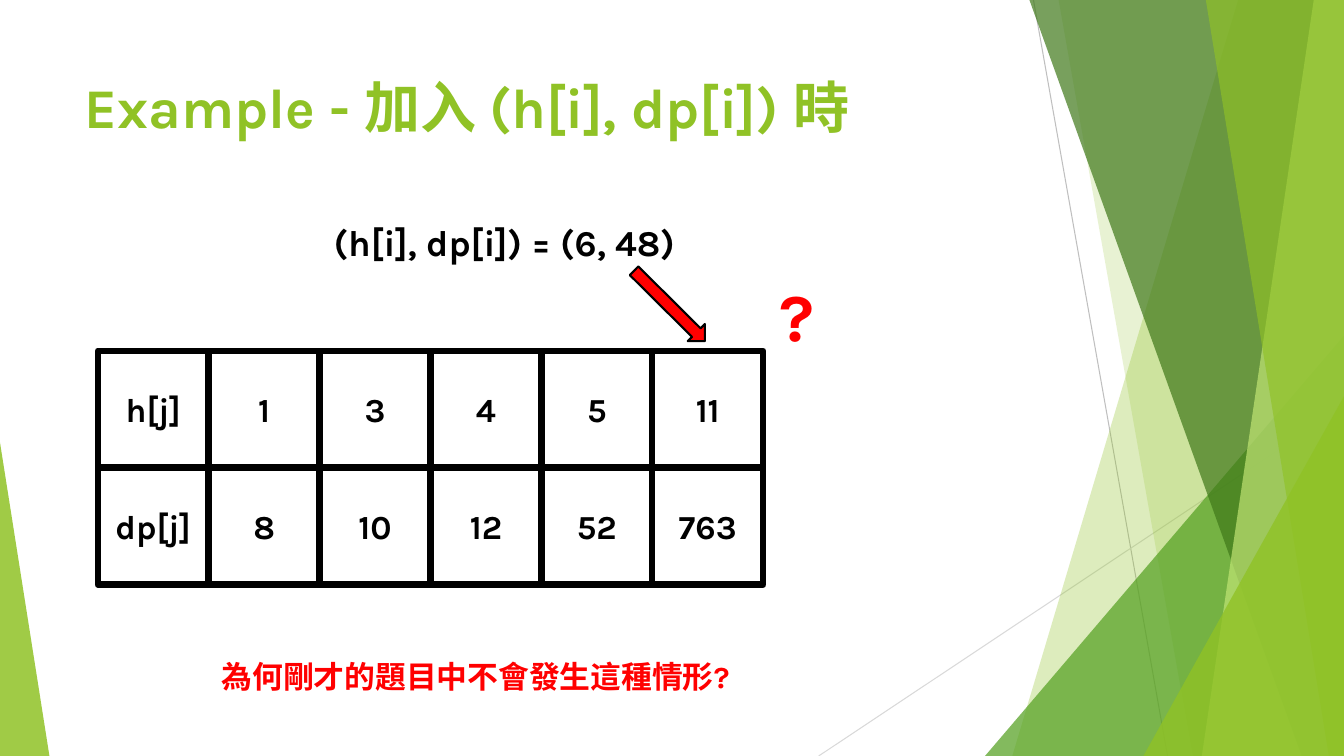
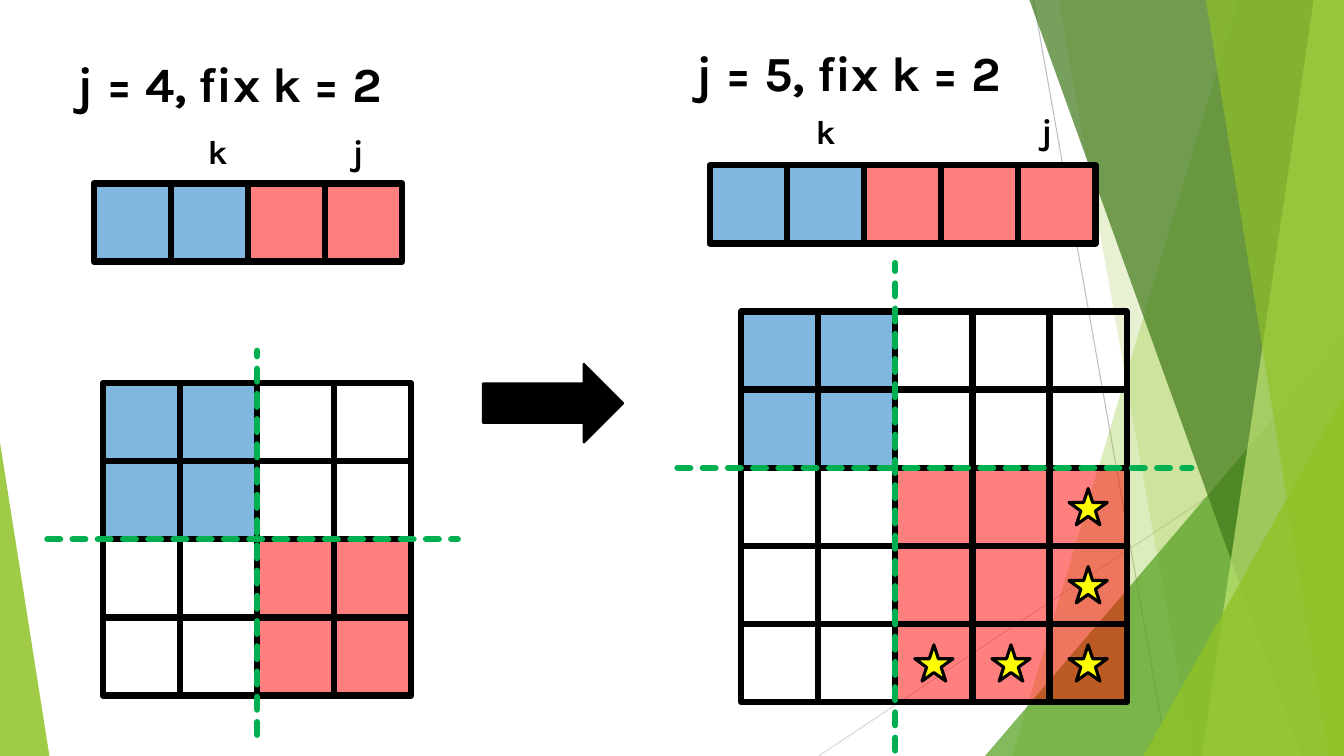
import lxml.etree
import pptx
import pptx.dml.color
import pptx.enum.dml
import pptx.enum.shapes
import pptx.enum.text
import pptx.oxml.ns
import pptx.util

Inches = pptx.util.Inches
Pt = pptx.util.Pt
SHAPE = pptx.enum.shapes.MSO_SHAPE
ALIGN = pptx.enum.text.PP_ALIGN
ANCHOR = pptx.enum.text.MSO_ANCHOR
AUTO_SIZE = pptx.enum.text.MSO_AUTO_SIZE
qn = pptx.oxml.ns.qn

FONT = "Karla"
WIDTH, HEIGHT = 13.33, 7.5
CELL_WIDTH, CELL_HEIGHT = 3.06 / 4, 3.1 / 4
SPLIT = 2  # the fixed k
COLORS = {
    "black": "000000", "red": "FF0000", "blue": "0070C0", "yellow": "FFFF00",
    "cut": "00B050", "pale_blue": "7FB7DF", "pale_red": "FF7F7F",
    "lime": "90C226", "leaf": "54A021", "forest": "3F7819", "mint": "C0E474",
    "gray": "BFBFBF", "light_gray": "D9D9D9",
}


# Shared drawing helpers
def rgb(name):
    return pptx.dml.color.RGBColor.from_string(COLORS[name])


def paint(shape, fill=None, opacity=100, line=None, weight=1):
    shape.shadow.inherit = False
    if fill:
        shape.fill.solid()
        shape.fill.fore_color.rgb = rgb(fill)
        if opacity < 100:
            color = shape.element.spPr.find(qn("a:solidFill"))[0]
            lxml.etree.SubElement(color, qn("a:alpha"), val=str(opacity * 1000))
    else:
        shape.fill.background()
    if line:
        shape.line.color.rgb = rgb(line)
        shape.line.width = Pt(weight)
    else:
        shape.line.fill.background()


def add_shape(shapes, kind, box, **style):
    shape = shapes.add_shape(kind, *map(Inches, box))
    paint(shape, **style)
    return shape


def add_line(shapes, start, end, color, weight, dash=None):
    line = shapes.add_connector(pptx.enum.shapes.MSO_CONNECTOR.STRAIGHT,
                                *map(Inches, start + end))
    line.line.color.rgb = rgb(color)
    line.line.width = Pt(weight)
    if dash:
        line.line.dash_style = dash
        line.element.spPr.find(qn("a:ln")).set("cap", "rnd")
    lxml.etree.SubElement(line.element.spPr, qn("a:effectLst"))


def style_text(frame, size, color="black", align=ALIGN.LEFT):
    for para in frame.paragraphs:
        para.alignment = align
        para.font.name = FONT
        para.font.size = Pt(size)
        para.font.bold = True
        para.font.color.rgb = rgb(color)


def add_text(page, box, text, size, color="black", wrap=False):
    frame = page.shapes.add_textbox(*map(Inches, box)).text_frame
    frame.text = text
    frame.word_wrap = wrap
    frame.auto_size = AUTO_SIZE.SHAPE_TO_FIT_TEXT
    style_text(frame, size, color)


def add_cell(page, left, top, row, column, fill=None, opacity=100,
             width=CELL_WIDTH, height=CELL_HEIGHT):
    return add_shape(page.shapes, SHAPE.RECTANGLE,
                     (left + column * width, top + row * height, width, height),
                     fill=fill, opacity=opacity, line="black", weight=4.5)


# Faceted green background, kept on the slide master
def add_band(shapes, top_left, bottom_left, color, opacity):
    builder = shapes.build_freeform(Inches(top_left), 0, scale=1.0)
    corners = [(WIDTH, 0), (WIDTH, HEIGHT), (bottom_left, HEIGHT)]
    builder.add_line_segments([(Inches(x), Inches(y)) for x, y in corners])
    paint(builder.convert_to_shape(), fill=color, opacity=opacity)


def add_corner(shapes, left, top, width, apex, color, opacity):
    corner = add_shape(shapes, SHAPE.ISOSCELES_TRIANGLE,
                       (left, top, width, HEIGHT - top),
                       fill=color, opacity=opacity)
    corner.adjustments[0] = apex


def add_background(deck, page):
    group = page.shapes.add_group_shape()
    shapes = group.shapes
    add_line(shapes, (10.25, 0), (11.58, HEIGHT), "gray", 0.75)
    add_line(shapes, (WIDTH, 4.03), (8.12, HEIGHT), "light_gray", 0.75)
    add_band(shapes, 12.28, 10.04, "lime", 30)
    add_band(shapes, 10.5, 11.83, "lime", 20)
    add_corner(shapes, 9.77, 3.33, 3.56, 1, "leaf", 72)
    add_band(shapes, 10.21, 12.91, "forest", 70)
    add_band(shapes, 13.03, 11.92, "mint", 70)
    add_band(shapes, 11.96, 13.18, "lime", 65)
    add_corner(shapes, 11.34, 3.93, 1.99, 1, "lime", 80)
    add_corner(shapes, 0, 4.39, 0.49, 0, "lime", 85)
    for number, props in enumerate(group.element.iter(qn("p:cNvPr")), 100):
        props.set("id", str(number))
    deck.slide_master.element.cSld.spTree.insert(2, group.element)


# Slide with the h / dp values
def add_value_grid(page, left, top, rows):
    for row, values in enumerate(rows):
        for column, value in enumerate(values):
            cell = add_cell(page, left, top, row, column, width=1.1, height=1.16)
            cell.text_frame.text = value
            cell.text_frame.vertical_anchor = ANCHOR.MIDDLE
            style_text(cell.text_frame, 24, align=ALIGN.CENTER)


def build_example(page):
    title = page.shapes.title
    title.left, title.top = Inches(0.74), Inches(0.67)
    title.width, title.height = Inches(9.4), Inches(1.44)
    title.text = "Example - 加入 (h[i], dp[i]) 時"
    title.text_frame.vertical_anchor = ANCHOR.TOP
    title.text_frame.auto_size = AUTO_SIZE.NONE
    style_text(title.text_frame, 40, "lime")

    add_text(page, (3.21, 2.13, 3.74, 0.54), "(h[i], dp[i]) = (6, 48)", 26)
    add_value_grid(page, 0.97, 3.48, [
        ["h[j]", "1", "3", "4", "5", "11"],
        ["dp[j]", "8", "10", "12", "52", "763"],
    ])
    arrow = add_shape(page.shapes, SHAPE.DOWN_ARROW, (6.52, 2.54, 0.24, 0.99),
                      fill="red", line="black", weight=1.5)
    arrow.rotation = 314.8
    add_text(page, (7.63, 2.67, 0.5, 0.91), "?", 48, "red")
    add_text(page, (2.1, 6.48, 5.27, 0.47),
             "為何剛才的題目中不會發生這種情形?", 22, "red")


# Slide comparing two values of j
def add_strip(page, left, top, count, k_offset, j_offset):
    for column in range(count):
        add_cell(page, left, top, 0, column,
                 "pale_blue" if column < SPLIT else "pale_red")
    for name, (right, up), width in (("k", k_offset, 0.39), ("j", j_offset, 0.32)):
        add_text(page, (left + right, top - up, width, 0.5), name, 24)


def add_matrix(page, left, top, count, overhang):
    for row in range(count):
        for column in range(count):
            fill = None
            if max(row, column) < SPLIT:
                fill = "blue"
            elif min(row, column) >= SPLIT:
                fill = "red"
            add_cell(page, left, top, row, column, fill, 50)
    # Dashed cuts after the first k rows and columns
    before, above, after, below = overhang
    cut_x, cut_y = left + SPLIT * CELL_WIDTH, top + SPLIT * CELL_HEIGHT
    right, bottom = left + count * CELL_WIDTH, top + count * CELL_HEIGHT
    dash = pptx.enum.dml.MSO_LINE.SQUARE_DOT
    add_line(page.shapes, (left - before, cut_y), (right + after, cut_y),
             "cut", 4.5, dash)
    add_line(page.shapes, (cut_x, bottom + below), (cut_x, top - above),
             "cut", 4.5, dash)


def add_stars(page, left, top, count):
    width, height = 0.38, 0.36
    for row in range(SPLIT, count):
        for column in range(SPLIT, count):
            if max(row, column) == count - 1:
                add_shape(page.shapes, SHAPE.STAR_5_POINT,
                          (left + (column + 0.5) * CELL_WIDTH - width / 2,
                           top + (row + 0.5) * CELL_HEIGHT - height / 2,
                           width, height),
                          fill="yellow", line="black", weight=2.25)


def add_panel(page, left, top, count, strip, k_offset, j_offset, matrix,
              overhang, starred=False):
    add_text(page, (left, top, 3.73, 0.69),
             f"j = {count}, fix k = {SPLIT}", 35, wrap=True)
    add_strip(page, left + strip[0], top + strip[1], count, k_offset, j_offset)
    corner = (left + matrix[0], top + matrix[1])
    add_matrix(page, *corner, count, overhang)
    if starred:
        add_stars(page, *corner, count)


def build_comparison(page):
    add_panel(page, 0.67, 0.48, 4, strip=(0.26, 1.34),
              k_offset=(1.03, 0.57), j_offset=(2.47, 0.57),
              matrix=(0.35, 3.32), overhang=(0.55, 0.32, 0.46, 0.39))
    add_shape(page.shapes, SHAPE.RIGHT_ARROW, (4.79, 3.61, 1.39, 0.78),
              fill="black", line="black", weight=1.5)
    add_panel(page, 6.81, 0.37, 5, strip=(0.23, 1.27),
              k_offset=(0.95, 0.59), j_offset=(3.19, 0.6),
              matrix=(0.54, 2.72), overhang=(0.63, 0.48, 0.64, 0.48),
              starred=True)


def main():
    deck = pptx.Presentation()
    deck.slide_width, deck.slide_height = Inches(WIDTH), Inches(HEIGHT)
    title_only, blank = deck.slide_layouts[5], deck.slide_layouts[6]
    example = deck.slides.add_slide(title_only)
    add_background(deck, example)
    build_example(example)
    build_comparison(deck.slides.add_slide(blank))
    deck.save("out.pptx")


if __name__ == "__main__":
    main()
